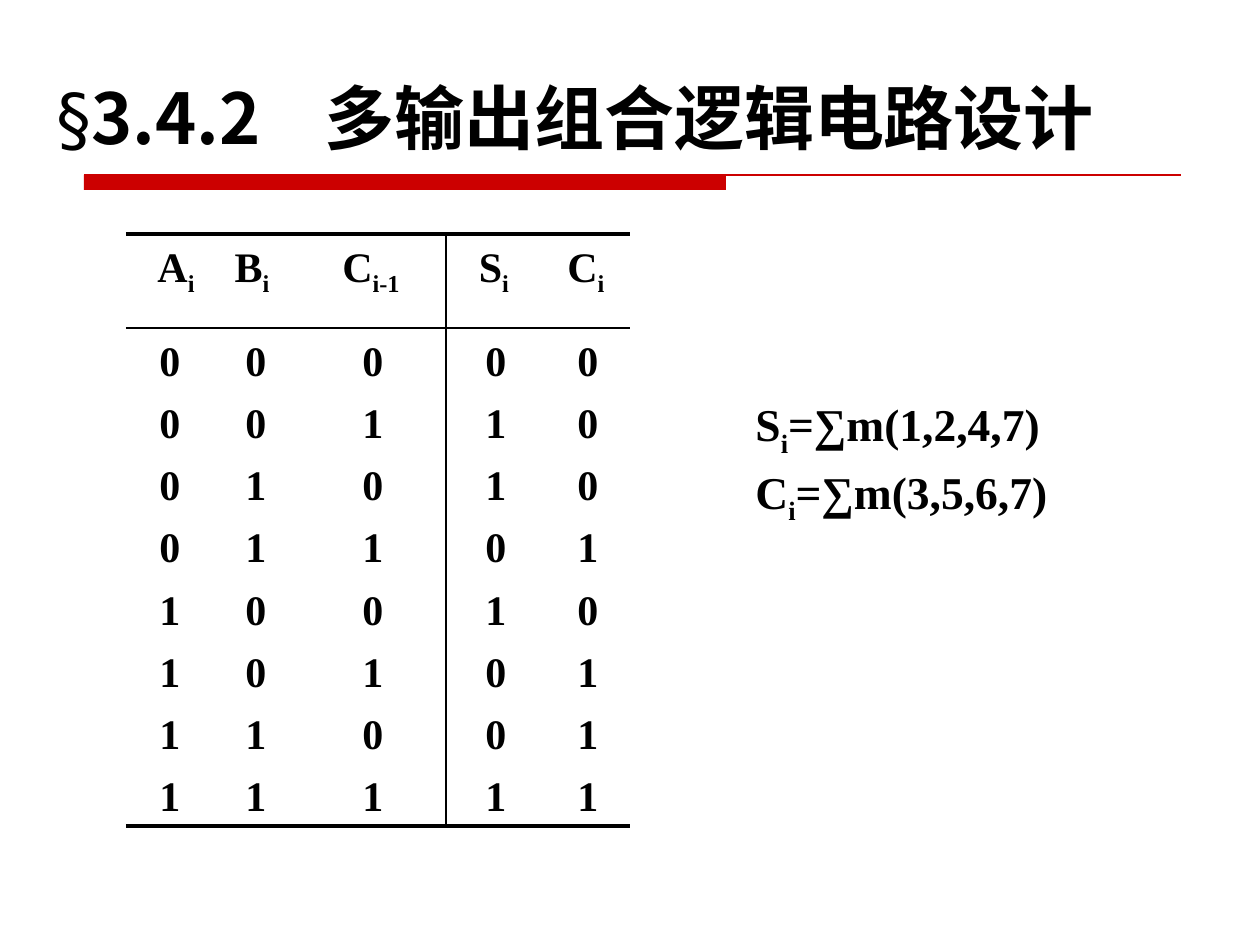
from lxml.etree import SubElement as Sub
from pptx import Presentation
from pptx.dml.color import RGBColor as Rgb
from pptx.enum.shapes import MSO_CONNECTOR as Link, MSO_SHAPE as Kind
from pptx.enum.text import MSO_ANCHOR as Anchor, MSO_AUTO_SIZE as Auto, PP_ALIGN as Align
from pptx.oxml.ns import qn
from pptx.util import Pt

PX = 914400 // 126
INK = {"text": "000000", "rule": "CC0000"}
SERIF, SANS, HAN = "Times New Roman", "DejaVu Sans", "Noto Sans CJK SC"
PLAIN = "{2D5ABB26-0587-4C30-8999-92F81FD0307C}"
HEADS = ["A_i", "B_i", "C_i-1", "S_i", "C_i"]
SHIFTS = [14, -6, -2, -2, -2]
COLS = [86, 86, 148, 98, 86]
TOP, SPLIT = 94, 3


def emu(*vals):
    """Turn px lengths into EMU."""
    return [v * PX for v in vals]


def write(par, text, size=24, font=SERIF, bold=True, align=Align.LEFT):
    """Add text to a paragraph, with every second part between _ marks lowered."""
    par.alignment = align
    for i, part in enumerate(text.split("_")):
        run = par.add_run()
        run.text = part
        face = run.font
        face.size, face.bold, face.name = Pt(size), bold, font
        face.color.rgb = Rgb.from_string(INK["text"])
        Sub(run._r.rPr, qn("a:ea"), typeface=HAN)
        if i % 2:
            run._r.rPr.set("baseline", "-25000")


def stroke(slide, ends, ink="text", width=1):
    """Draw a straight line."""
    line = slide.shapes.add_connector(Link.STRAIGHT, *emu(*ends))
    line.line.color.rgb = Rgb.from_string(INK[ink])
    line.line.width = Pt(width)
    Sub(line._element.spPr, qn("a:effectLst"))


def title(slide, box, tab):
    """Place the slide title in its placeholder."""
    head = slide.shapes.title
    head.left, head.top, head.width, head.height = emu(*box)
    frame = head.text_frame
    frame.auto_size, frame.vertical_anchor = Auto.NONE, Anchor.BOTTOM
    par = frame.paragraphs[0]
    stops = Sub(par._p.get_or_add_pPr(), qn("a:tabLst"))
    Sub(stops, qn("a:tab"), pos=str(tab * PX), algn="l")
    write(par, "§", size=40, font=SANS, bold=False)
    write(par, "3.4.2\t", size=40, font=HAN)
    write(par, "多输出组合逻辑电路设计", size=40, font=SANS)


def rule(slide, box, bar):
    """Draw the thin line with its thick bar at the left."""
    x, y, w, h = box
    block = slide.shapes.add_shape(Kind.RECTANGLE, *emu(x, y, bar, h))
    block.shadow.inherit = False
    block.fill.solid()
    block.fill.fore_color.rgb = Rgb.from_string(INK["rule"])
    block.line.fill.background()
    stroke(slide, (x, y, x + w, y), ink="rule", width=0.75)


def truth(slide, box):
    """Build the truth table of a full adder, with its lines."""
    x, y, w, h = box
    rows = [HEADS]
    for n in range(8):
        bits = [n >> 2 & 1, n >> 1 & 1, n & 1]
        total = sum(bits)
        rows.append([str(b) for b in bits + [total % 2, total // 2]])
    last = len(rows) - 1
    grid = slide.shapes.add_table(len(rows), len(COLS), *emu(*box)).table
    grid.first_row = grid.horz_banding = False
    grid._tbl.tblPr.find(qn("a:tableStyleId")).text = PLAIN
    for col, wide in zip(grid.columns, COLS):
        col.width = wide * PX
    for r, row in enumerate(rows):
        grid.rows[r].height = (h - TOP) * PX // last if r else TOP * PX
        for c, text in enumerate(row):
            cell = grid.cell(r, c)
            shift = 2 if r else SHIFTS[c]
            cell.vertical_anchor = Anchor.MIDDLE if r else Anchor.TOP
            cell.margin_left, cell.margin_right = emu(max(shift, 0), max(-shift, 0))
            cell.margin_top, cell.margin_bottom = emu(6 if r else 11, 0)
            cell.fill.background()
            write(cell.text_frame.paragraphs[0], text, align=Align.CENTER)
    for down, width in ((0, 2.25), (TOP, 1), (h, 2.25)):
        stroke(slide, (x, y + down, x + w, y + down), width=width)
    mid = x + sum(COLS[:SPLIT])
    stroke(slide, (mid, y, mid, y + h))


def sums(slide, box):
    """Place the two minterm sums."""
    frame = slide.shapes.add_textbox(*emu(*box)).text_frame
    frame.word_wrap = True
    first, second = frame.paragraphs[0], frame.add_paragraph()
    first.line_spacing = second.line_spacing = 0.9
    second.space_before = Pt(6.5)
    write(first, "S_i_=∑m(1,2,4,7)", size=26)
    write(second, "C_i_=∑m(3,5,6,7)", size=26)


def main():
    """Build and save the slide."""
    deck = Presentation()
    deck.slide_width, deck.slide_height = emu(1260, 945)
    slide = deck.slides.add_slide(deck.slide_layouts[5])
    rule(slide, (84, 175, 1097, 15), bar=642)
    title(slide, (44, 43, 1216, 122), tab=268)
    sums(slide, (743, 391, 462, 150))
    truth(slide, (126, 234, sum(COLS), 592))
    deck.save("out.pptx")


if __name__ == "__main__":
    main()
